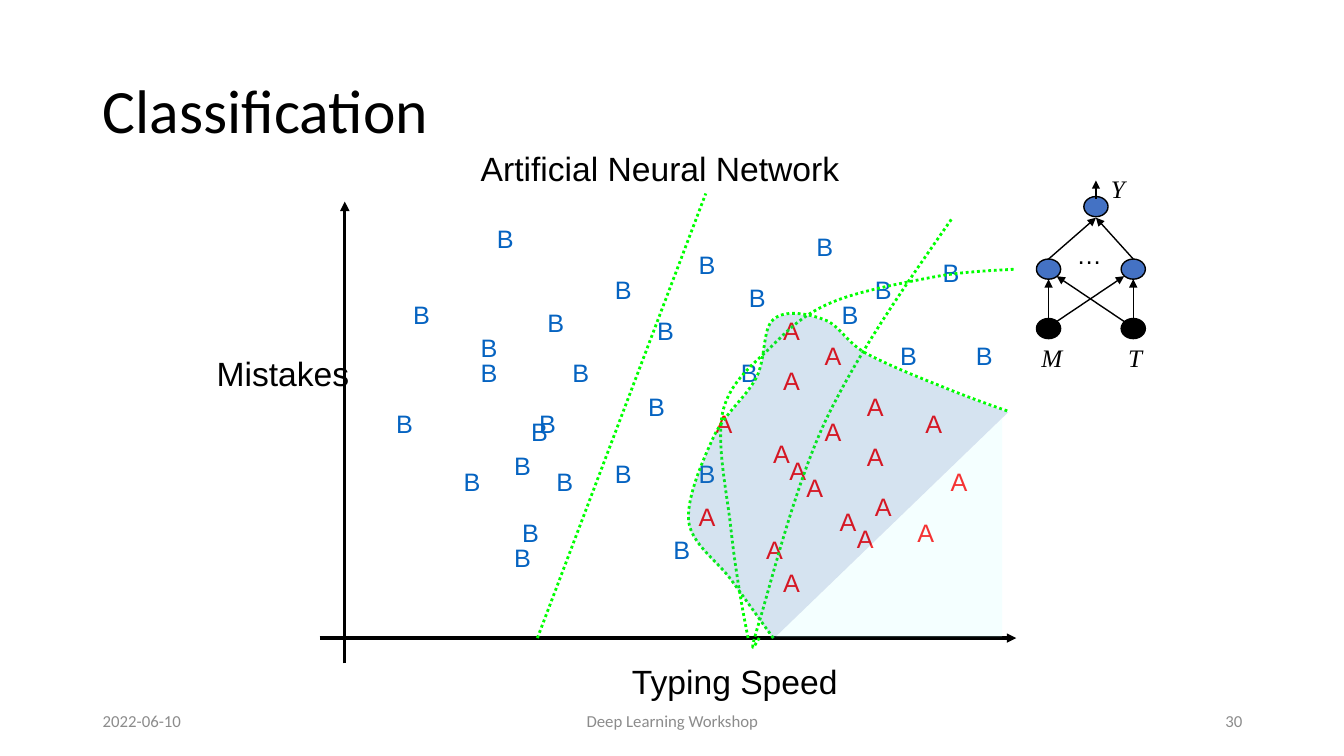
"""Builds the slide on classification with an artificial neural network."""
from lxml import etree
from pptx import Presentation
from pptx import util as u
from pptx.dml import color as colors
from pptx.enum import dml, shapes, text
from pptx.oxml import ns

PX = u.Inches(1) // 100
BLACK, GREEN, GREY = "000000", "00FF00", "8C8C8C"
hue = colors.RGBColor.from_string


def add_label(words, frame, size, font, shade, italic=False, align=None):
    box = page.shapes.add_textbox(*(n * PX for n in frame))
    box.text_frame.word_wrap = align is not None
    if align is None:
        box.text_frame.auto_size = text.MSO_AUTO_SIZE.SHAPE_TO_FIT_TEXT
    else:
        box.text_frame.vertical_anchor = text.MSO_ANCHOR.MIDDLE
    para = box.text_frame.paragraphs[0]
    para.alignment = align
    span = para.add_run()
    span.text = words
    span.font.size = u.Pt(size)
    span.font.name = font
    span.font.italic = italic
    span.font.color.rgb = hue(shade)


def add_line(start, end, shade, weight, arrow=True):
    line = page.shapes.add_connector(
        shapes.MSO_CONNECTOR.STRAIGHT, *(n * PX for n in (*start, *end)))
    line.line.color.rgb = hue(shade)
    line.line.width = u.Pt(weight)
    if arrow:
        etree.SubElement(line.line._ln, ns.qn("a:tailEnd"), type="triangle")
    else:
        line.line.dash_style = dml.MSO_LINE.ROUND_DOT
    etree.SubElement(line._element.spPr, ns.qn("a:effectLst"))


deck = Presentation()
deck.slide_width, deck.slide_height = 1333 * PX, 750 * PX
page = deck.slides.add_slide(deck.slide_layouts[5])

title = page.shapes.title
title.left, title.top, title.width, title.height = (n * PX for n in (92, 40, 1150, 145))
title.text_frame.vertical_anchor = text.MSO_ANCHOR.MIDDLE
para = title.text_frame.paragraphs[0]
para.alignment = text.PP_ALIGN.LEFT
para.line_spacing = 0.9
span = para.add_run()
span.text = "Classification"
span.font.size = u.Pt(44)
span.font.name = "Calibri"
span.font.color.rgb = hue(BLACK)

add_line((342, 658), (342, 200), BLACK, 2.25)
add_line((317, 633), (1008, 633), BLACK, 2.25)

samples = {
    "B": ("0563C1", [
        (533, 300), (558, 350), (500, 533), (642, 308), (858, 267), (400, 292),
        (683, 242), (958, 333), (883, 333), (683, 450), (483, 217), (658, 525),
        (600, 450), (525, 400), (633, 383), (600, 267), (467, 350), (725, 350),
        (500, 442), (733, 275), (517, 408), (542, 458), (383, 400), (467, 325),
        (508, 508), (450, 458), (800, 225), (925, 250), (825, 292)]),
    "A": ("FF0000", [
        (757, 430), (773, 447), (790, 464), (858, 483), (850, 383), (700, 400),
        (750, 525), (823, 497), (683, 492), (908, 400), (767, 358), (840, 514),
        (767, 558), (808, 408), (808, 333), (850, 433), (900, 508), (933, 458),
        (767, 308)]),
}
for letter, (shade, places) in samples.items():
    for left, top in places:
        add_label(letter, (left, top, 37, 40), 18, "Arial", shade)

add_line((533, 633), (700, 192), GREEN, 2, arrow=False)

steep = [(753, 633), (747, 643), (742, 653), (753, 617), (764, 581), (788, 483),
         (819, 417), (851, 350), (898, 283), (944, 217)]
bent = [(742, 633), (735, 598), (729, 562), (725, 525), (721, 488), (710, 439),
        (717, 408), (724, 378), (749, 360), (767, 342), (785, 324), (799, 311),
        (825, 300), (851, 289), (894, 281), (925, 275), (956, 269), (994, 268),
        (1008, 267)]
winding = [(767, 633), (753, 614), (739, 594), (725, 575), (711, 556), (686, 540),
           (683, 517), (681, 493), (697, 457), (708, 433), (719, 410), (740, 394),
           (750, 375), (760, 356), (756, 326), (767, 317), (778, 307), (801, 311),
           (817, 317), (832, 322), (839, 339), (858, 350), (878, 361), (910, 374),
           (933, 383), (957, 393), (988, 404), (1000, 408)]
outlines = []
for points, drop in ((steep, 0), (bent, 0), (winding, 0), (winding, 1)):
    builder = page.shapes.build_freeform(*points[0], scale=PX)
    builder.add_line_segments(points[1:], close=False)
    outline = builder.convert_to_shape(0, drop * PX)
    outline.shadow.inherit = False
    outline.fill.background()
    outline.line.color.rgb = hue(GREEN)
    outline.line.width = u.Pt(2)
    outline.line.dash_style = dml.MSO_LINE.ROUND_DOT
    segments = list(outline._element.iter(ns.qn("a:lnTo")))
    trail = segments[0].getparent()
    for first in range(0, len(segments), 3):
        curve = etree.SubElement(trail, ns.qn("a:cubicBezTo"))
        for segment in segments[first:first + 3]:
            curve.append(segment[0])
            trail.remove(segment)
    outlines.append(outline)

region = outlines[-1]
corner = page.shapes.add_shape(
    shapes.MSO_SHAPE.RIGHT_TRIANGLE, *(n * PX for n in (773, 411, 217, 225)))
corner.rotation = 270
corner.shadow.inherit = False
for area, shade in ((region, "2E75B6"), (corner, "CCFFFF")):
    area.line.fill.background()
    area.fill.solid()
    area.fill.fore_color.rgb = hue(shade)
    tint = area._element.spPr.find(ns.qn("a:solidFill"))[0]
    etree.SubElement(tint, ns.qn("a:alpha"), val="20000")
page.shapes.add_group_shape([region, corner])

for words, frame in (("Artificial Neural Network", (467, 142, 380, 50)),
                     ("Mistakes", (205, 345, 153, 50)),
                     ("Typing Speed", (617, 651, 226, 50))):
    add_label(words, frame, 24, "Arial", BLACK)

for left, top, shade in ((1075, 195, "4472C4"), (1028, 257, "4472C4"),
                         (1112, 257, "4472C4"), (1028, 316, BLACK),
                         (1112, 316, BLACK)):
    neuron = page.shapes.add_shape(
        shapes.MSO_SHAPE.OVAL, *(n * PX for n in (left, top, 24, 20)))
    neuron.shadow.inherit = False
    neuron.fill.solid()
    neuron.fill.fore_color.rgb = hue(shade)
    neuron.line.color.rgb = hue(BLACK)
    neuron.line.width = u.Pt(1)

for start, end in (((1040, 316), (1040, 277)), ((1124, 316), (1124, 277)),
                   ((1040, 257), (1087, 216)), ((1124, 257), (1087, 216)),
                   ((1048, 319), (1115, 274)), ((1115, 319), (1048, 274)),
                   ((1087, 197), (1087, 179))):
    add_line(start, end, BLACK, 1)

for words, frame in (("M", (1023, 335, 41, 40)), ("T", (1109, 335, 34, 40)),
                     ("Y", (1092, 167, 34, 40))):
    add_label(words, frame, 18, "Times New Roman", BLACK, italic=True)
add_label("…", (1058, 233, 45, 40), 18, "Arial", BLACK)

for words, left, width, align in (
        ("2022-06-10", 92, 300, text.PP_ALIGN.LEFT),
        ("Deep Learning Workshop", 442, 450, text.PP_ALIGN.CENTER),
        ("30", 942, 300, text.PP_ALIGN.RIGHT)):
    add_label(words, (left, 695, width, 40), 12, "Calibri", GREY, align=align)

deck.save("out.pptx")
